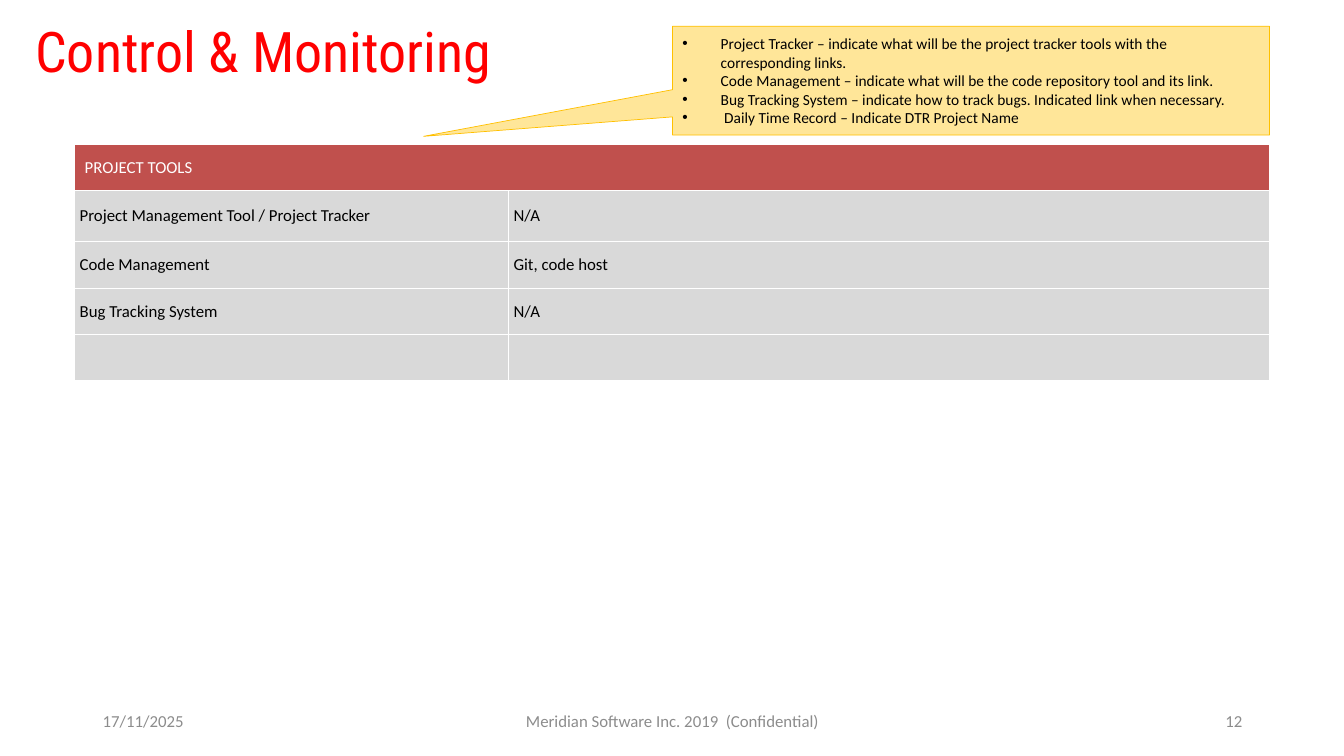
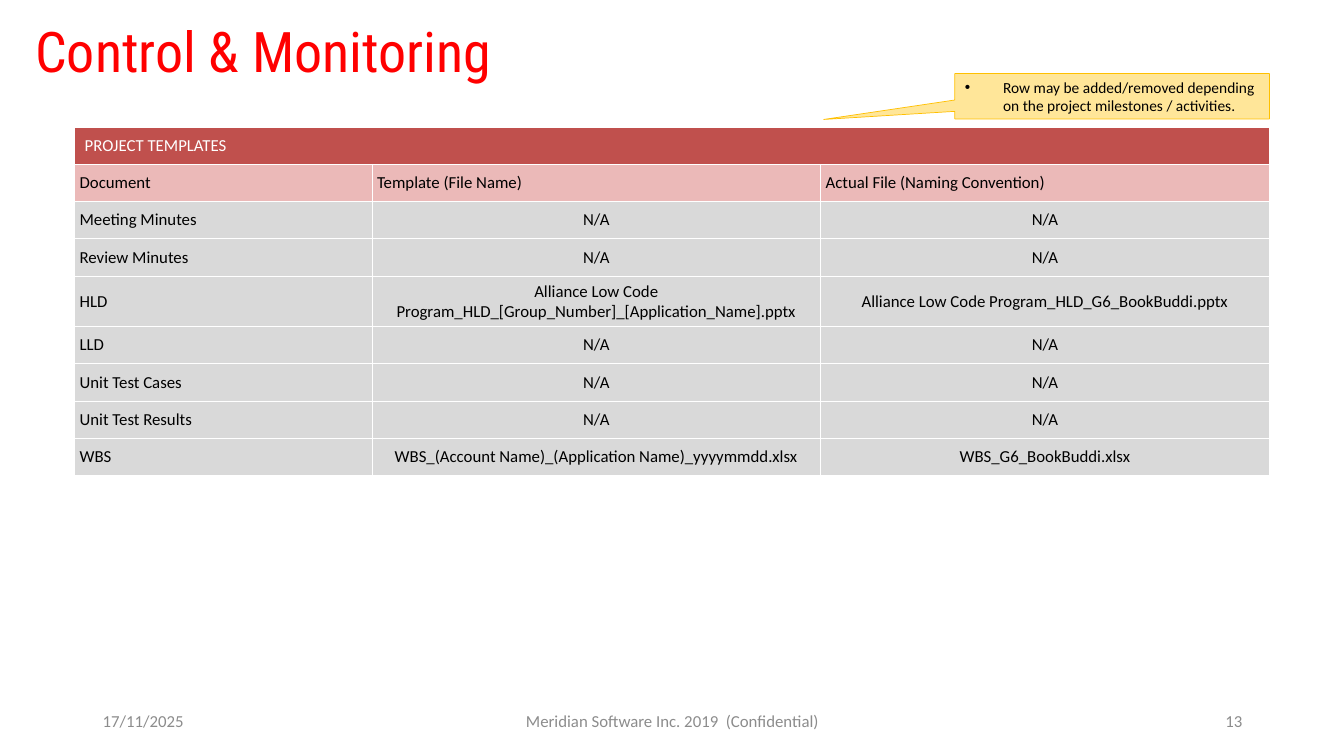
"""Build the two Control & Monitoring slides: project tools and project templates."""
import pptx
import pptx.dml.color
import pptx.enum.shapes
import pptx.enum.text
import pptx.oxml
import pptx.oxml.ns
import pptx.util
from dataclasses import dataclass

Inches = pptx.util.Inches
Pt = pptx.util.Pt
ALIGN = pptx.enum.text.PP_ALIGN
MIDDLE = pptx.enum.text.MSO_ANCHOR.MIDDLE


@dataclass(frozen=True)
class Theme:
    body_font: str = "Calibri"
    title_font: str = "Roboto Condensed"
    title_size: int = 40
    body_size: int = 12
    hint_size: int = 11
    title: str = "FF0000"
    footer: str = "8C8C8C"
    text: str = "000000"
    light: str = "FFFFFF"
    banner: str = "C0504D"
    heading: str = "EBB9B8"
    row: str = "D9D9D9"
    hint: str = "FFE699"
    hint_edge: str = "FFC000"


THEME = Theme()
WIDTH, HEIGHT = 13.33, 7.5
TABLE_LEFT, TABLE_WIDTH = 0.74, 11.85
TABLE_RIGHT = TABLE_LEFT + TABLE_WIDTH
TITLE = "Control & Monitoring"
FIRST_PAGE = 12
FOOTER_TOP, FOOTER_HEIGHT = 6.95, 0.4
FOOTERS = [
    ("17/11/2025", 0.92, 3, ALIGN.LEFT),
    ("Meridian Software Inc. 2019  (Confidential)", 4.42, 4.5, ALIGN.CENTER),
    ("{page}", 9.42, 3, ALIGN.RIGHT),
]

SLIDES = [
    {
        "banner": "PROJECT TOOLS",
        "headings": [],
        "rows": [
            ("Project Management Tool / Project Tracker", "N/A"),
            ("Code Management", "Git, code host"),
            ("Bug Tracking System", "N/A"),
            ("", ""),
        ],
        "top": 1.43,
        "shares": (4.3, 7.54),
        "row_height": 0.46,
        "tall_rows": {1: 0.51},
        "value_align": ALIGN.LEFT,
        "hints": [
            "Project Tracker – indicate what will be the project tracker tools with the corresponding links.",
            "Code Management – indicate what will be the code repository tool and its link.",
            "Bug Tracking System – indicate how to track bugs. Indicated link when necessary.",
            " Daily Time Record – Indicate DTR Project Name",
        ],
        "hint_box": (0.26, 5.92, 1.08),
    },
    {
        "banner": "PROJECT TEMPLATES",
        "headings": [("Document", "Template (File Name)", "Actual File (Naming Convention)")],
        "rows": [
            ("Meeting Minutes", "N/A", "N/A"),
            ("Review Minutes", "N/A", "N/A"),
            ("HLD", "Alliance Low Code Program_HLD_[Group_Number]_[Application_Name].pptx",
             "Alliance Low Code Program_HLD_G6_BookBuddi.pptx"),
            ("LLD", "N/A", "N/A"),
            ("Unit Test Cases", "N/A", "N/A"),
            ("Unit Test Results", "N/A", "N/A"),
            ("WBS", "WBS_(Account Name)_(Application Name)_yyyymmdd.xlsx", "WBS_G6_BookBuddi.xlsx"),
        ],
        "top": 1.26,
        "shares": (2.95, 4.45, 4.45),
        "row_height": 0.37,
        "tall_rows": {4: 0.5},
        "value_align": ALIGN.CENTER,
        "hints": ["Row may be added/removed depending on the project milestones / activities."],
        "hint_box": (0.73, 3.12, 0.45),
    },
]


def rgb(code):
    return pptx.dml.color.RGBColor.from_string(code)


def xml(markup):
    head, tail = markup.split(" ", 1)
    return pptx.oxml.parse_xml(f"{head} {pptx.oxml.ns.nsdecls('a')} {tail}")


def write(frame, *lines, size=THEME.body_size, font=THEME.body_font,
          color=THEME.text, align=ALIGN.LEFT, bullet=False):
    for index, line in enumerate(lines):
        paragraph = frame.paragraphs[0] if index == 0 else frame.add_paragraph()
        paragraph.alignment = align
        if bullet:
            properties = paragraph._p.get_or_add_pPr()
            properties.set("marL", str(Inches(0.38)))
            properties.set("indent", str(-Inches(0.38)))
            properties.append(xml('<a:buFont typeface="Arial"/>'))
            properties.append(xml('<a:buChar char="•"/>'))
        if not line:
            paragraph.font.size = Pt(size)
            continue
        run = paragraph.add_run()
        run.text = line
        run.font.size = Pt(size)
        run.font.name = font
        run.font.color.rgb = rgb(color)


def set_margins(frame, inset):
    frame.margin_left = frame.margin_right = Inches(inset)
    frame.margin_top = frame.margin_bottom = Inches(inset)


def paint(cell, fill):
    cell.fill.solid()
    cell.fill.fore_color.rgb = rgb(fill)
    cell.vertical_anchor = MIDDLE
    for position, side in enumerate("LRTB"):
        border = xml(f'<a:ln{side} w="{Pt(0.75)}"><a:solidFill>'
                     f'<a:srgbClr val="{THEME.light}"/></a:solidFill></a:ln{side}>')
        cell._tc.get_or_add_tcPr().insert(position, border)


def add_frame(slide, page):
    title = slide.shapes.title
    title.left, title.top = Inches(0.29), 0
    title.width, title.height = Inches(7.05), Inches(0.99)
    frame = title.text_frame
    frame.auto_size = pptx.enum.text.MSO_AUTO_SIZE.NONE
    frame.vertical_anchor = MIDDLE
    set_margins(frame, 0.06)
    write(frame, TITLE, size=THEME.title_size, font=THEME.title_font, color=THEME.title)
    for text, left, width, align in FOOTERS:
        footer = slide.shapes.add_textbox(
            Inches(left), Inches(FOOTER_TOP), Inches(width), Inches(FOOTER_HEIGHT)).text_frame
        footer.word_wrap = True
        footer.vertical_anchor = MIDDLE
        write(footer, text.format(page=page), color=THEME.footer, align=align)


def add_project_table(slide, content):
    headings, shares = content["headings"], content["shares"]
    body = headings + content["rows"]
    heights = [content["tall_rows"].get(index, content["row_height"])
               for index in range(len(body) + 1)]
    table = slide.shapes.add_table(
        len(heights), len(shares), Inches(TABLE_LEFT), Inches(content["top"]),
        Inches(TABLE_WIDTH), Inches(sum(heights))).table
    for column, share in zip(table.columns, shares):
        column.width = Inches(TABLE_WIDTH * share / sum(shares))
    for row, height in zip(table.rows, heights):
        row.height = Inches(height)

    banner = table.cell(0, 0)
    banner.merge(table.cell(0, len(shares) - 1))
    for cell in table.rows[0].cells:
        paint(cell, THEME.banner)
    write(banner.text_frame, content["banner"], color=THEME.light)

    for row, texts in enumerate(body, start=1):
        is_heading = row <= len(headings)
        for column, text in enumerate(texts):
            cell = table.cell(row, column)
            paint(cell, THEME.heading if is_heading else THEME.row)
            set_margins(cell, 0.05)
            align = ALIGN.LEFT if is_heading or column == 0 else content["value_align"]
            write(cell.text_frame, text, align=align)


def add_hint(slide, content):
    top, width, height = content["hint_box"]
    callout = slide.shapes.add_shape(
        pptx.enum.shapes.MSO_SHAPE.RECTANGULAR_CALLOUT,
        Inches(TABLE_RIGHT - width), Inches(top), Inches(width), Inches(height))
    callout.adjustments[0], callout.adjustments[1] = -0.917, 0.512
    callout.shadow.inherit = False
    callout.fill.solid()
    callout.fill.fore_color.rgb = rgb(THEME.hint)
    callout.line.color.rgb = rgb(THEME.hint_edge)
    callout.line.width = Pt(0.5)
    callout.text_frame.word_wrap = True
    callout.text_frame.vertical_anchor = MIDDLE
    write(callout.text_frame, *content["hints"], size=THEME.hint_size, bullet=True)


def main():
    deck = pptx.Presentation()
    deck.slide_width, deck.slide_height = Inches(WIDTH), Inches(HEIGHT)
    title_only = deck.slide_layouts[5]
    for page, content in enumerate(SLIDES, start=FIRST_PAGE):
        slide = deck.slides.add_slide(title_only)
        add_frame(slide, page)
        add_project_table(slide, content)
        add_hint(slide, content)
    deck.save("out.pptx")


if __name__ == "__main__":
    main()
